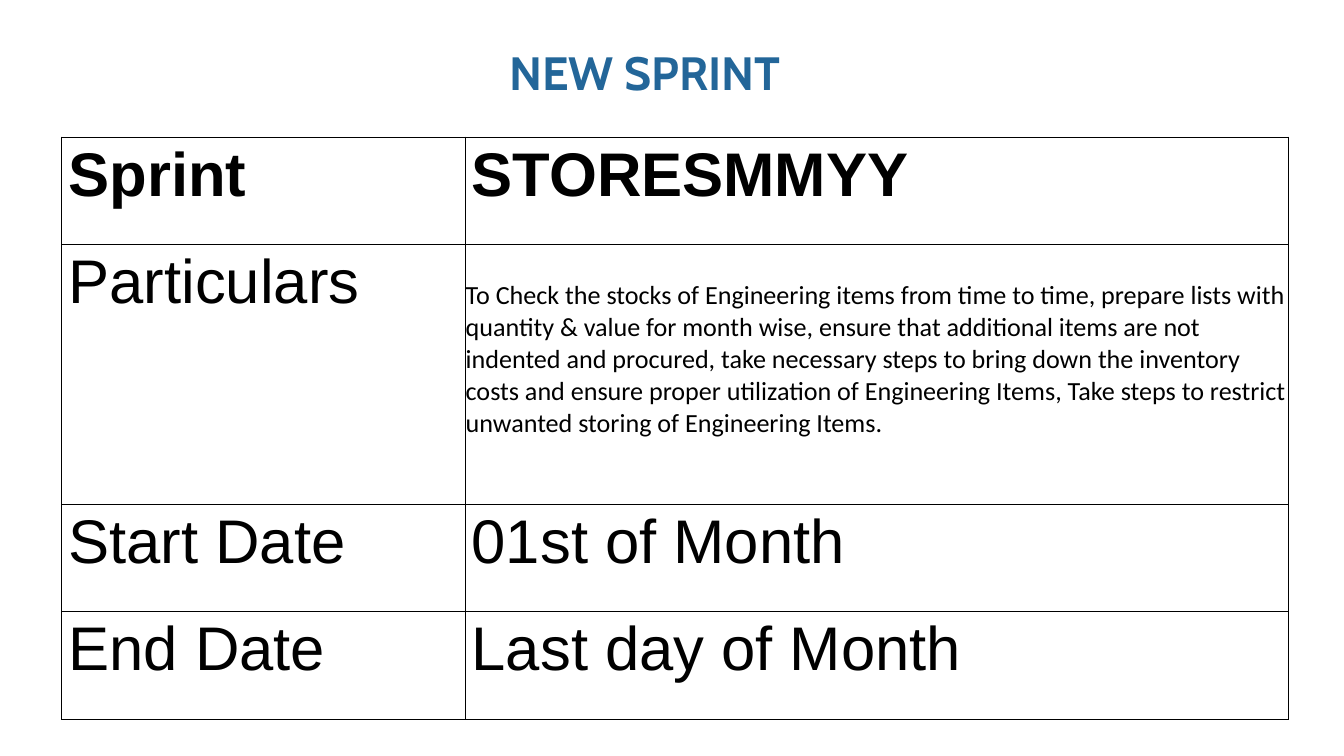
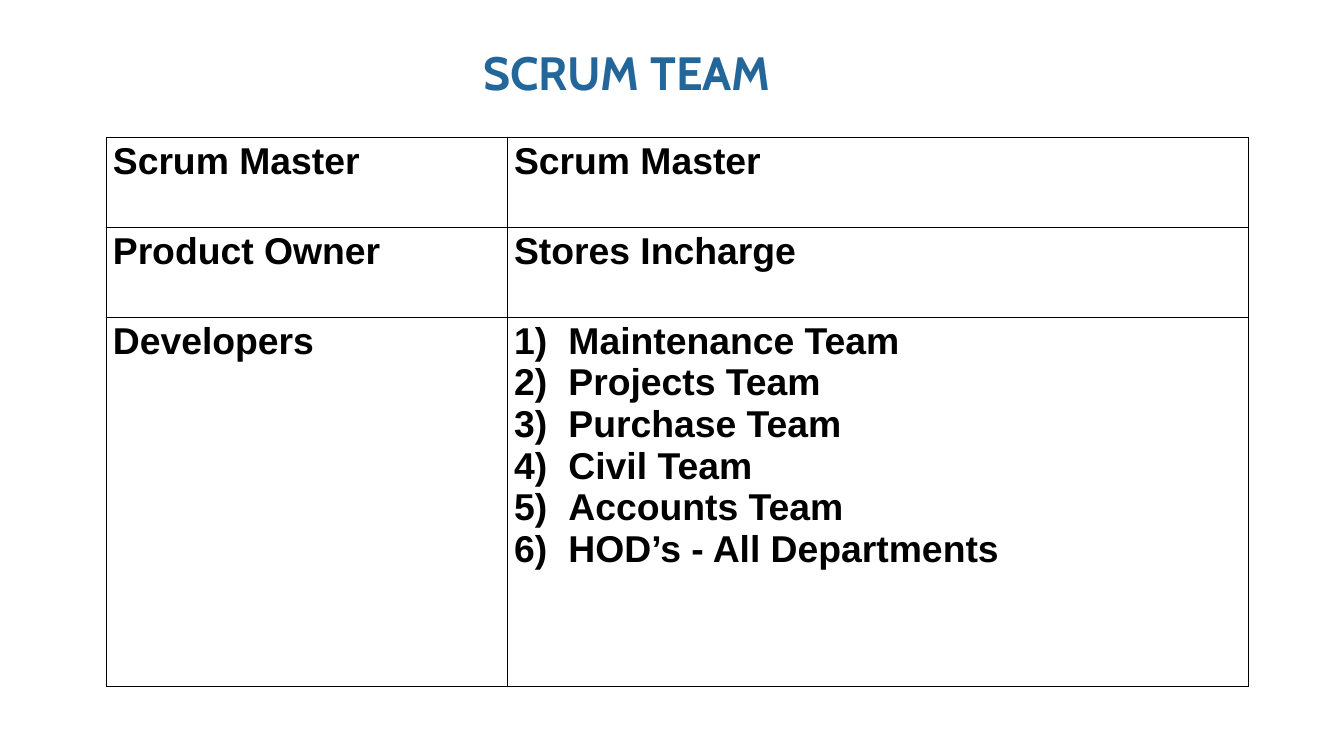
from lxml.etree import SubElement
from pptx import Presentation
from pptx.dml.color import RGBColor
from pptx.enum.text import MSO_ANCHOR, PP_ALIGN
from pptx.oxml.ns import qn
from pptx.util import Inches, Pt

BLUE = RGBColor(0x23, 0x66, 0x99)
BLACK = RGBColor(0, 0, 0)
WHITE = RGBColor(0xFF, 0xFF, 0xFF)

TITLE_TOP, TITLE_HEIGHT = 0.65, 0.86
TABLE_TOP = 2.04
LIST_INDENT = Inches(0.81)
TITLE_FONT = {"name": "Cabin", "size": Pt(50), "bold": True}
LARGE_FONT = {"name": "Arial", "size": Pt(66), "bold": False}
HEADING_FONT = {**LARGE_FONT, "bold": True}
DETAIL_FONT = {"name": "Calibri", "size": Pt(28), "bold": False}
TEAM_FONT = {"name": "Arial", "size": Pt(40), "bold": True}
NO_MARGINS = {"margin_left": 0, "margin_top": 0, "margin_right": 0, "margin_bottom": 0}
DETAIL_CELL = {
    "vertical_anchor": MSO_ANCHOR.MIDDLE,
    "margin_left": Inches(0.01),
    "margin_top": Inches(0.01),
    "margin_right": Inches(0.01),
    "margin_bottom": Inches(0.45),
}

PARTICULARS = (
    "To Check the stocks of Engineering items from time to time, prepare lists with "
    "quantity & value for month wise, ensure that additional items are not indented "
    "and procured, take necessary steps to bring down the inventory costs and ensure "
    "proper utilization of Engineering Items, Take steps to restrict unwanted storing "
    "of Engineering Items."
)
SPRINT_ROWS = [
    ("Sprint", "STORESMMYY"),
    ("Particulars", PARTICULARS),
    ("Start Date", "01st of Month"),
    ("End Date", "Last day of Month"),
]
DEVELOPERS = [
    "Maintenance Team",
    "Projects Team",
    "Purchase Team",
    "Civil Team",
    "Accounts Team",
    "HOD’s - All Departments",
]
TEAM_ROWS = [
    ("Scrum Master", "Scrum Master"),
    ("Product Owner", "Stores Incharge"),
    ("Developers", "\n".join(DEVELOPERS)),
]


def apply_format(target, values):
    for name, value in values.items():
        setattr(target, name, value)


def format_text(text_frame, font_values, color):
    for paragraph in text_frame.paragraphs:
        paragraph.alignment = PP_ALIGN.LEFT
        for run in paragraph.runs:
            apply_format(run.font, font_values)
            run.font.color.rgb = color


def add_titled_slide(presentation, title, left, width):
    slide = presentation.slides.add_slide(presentation.slide_layouts[5])
    shape = slide.shapes.title
    box = {"left": left, "top": TITLE_TOP, "width": width, "height": TITLE_HEIGHT}
    apply_format(shape, {name: Inches(value) for name, value in box.items()})
    text_frame = shape.text_frame
    text_frame.text = title
    apply_format(text_frame, {**NO_MARGINS, "vertical_anchor": MSO_ANCHOR.TOP})
    format_text(text_frame, TITLE_FONT, BLUE)
    return slide


def add_borders(cell):
    properties = cell._tc.get_or_add_tcPr()
    for position, side in enumerate(("lnL", "lnR", "lnT", "lnB")):
        line = properties.makeelement(qn(f"a:{side}"), {"w": str(Pt(1))})
        properties.insert(position, line)
        fill = SubElement(line, qn("a:solidFill"))
        SubElement(fill, qn("a:srgbClr"), val=str(BLACK))


def number_paragraphs(text_frame):
    for paragraph in text_frame.paragraphs:
        properties = paragraph._p.get_or_add_pPr()
        properties.set("marL", str(LIST_INDENT))
        properties.set("indent", str(-LIST_INDENT))
        SubElement(properties, qn("a:buFont"), typeface="+mj-lt")
        SubElement(properties, qn("a:buAutoNum"), type="arabicParenR")


def add_grid(slide, left, column_widths, row_heights, rows, font_values):
    frame = slide.shapes.add_table(
        len(rows), len(column_widths), Inches(left), Inches(TABLE_TOP),
        Inches(sum(column_widths)), Inches(sum(row_heights)),
    )
    table = frame.table
    apply_format(table, {"first_row": False, "horz_banding": False})
    for column, width in zip(table.columns, column_widths):
        column.width = Inches(width)
    for row, height, texts in zip(table.rows, row_heights, rows):
        row.height = Inches(height)
        for cell, text in zip(row.cells, texts):
            cell.text = text
            cell.fill.solid()
            cell.fill.fore_color.rgb = WHITE
            add_borders(cell)
            format_text(cell.text_frame, font_values, BLACK)
    return table


def add_sprint_slide(presentation):
    slide = add_titled_slide(presentation, "NEW SPRINT", 7.58, 5.23)
    table = add_grid(slide, 0.92, [6, 12.25], [1.6, 3.86, 1.6, 1.6], SPRINT_ROWS, LARGE_FONT)
    for cell in table.rows[0].cells:
        format_text(cell.text_frame, HEADING_FONT, BLACK)
    particulars = table.cell(1, 1)
    apply_format(particulars, DETAIL_CELL)
    format_text(particulars.text_frame, DETAIL_FONT, BLACK)


def add_team_slide(presentation):
    slide = add_titled_slide(presentation, "SCRUM TEAM", 7.19, 5.63)
    table = add_grid(slide, 1.58, [5.97, 11.03], [1.34, 1.34, 5.49], TEAM_ROWS, TEAM_FONT)
    number_paragraphs(table.cell(2, 1).text_frame)


def main():
    presentation = Presentation()
    apply_format(presentation, {"slide_width": Inches(20), "slide_height": Inches(11.25)})
    add_sprint_slide(presentation)
    add_team_slide(presentation)
    presentation.save("out.pptx")


if __name__ == "__main__":
    main()
